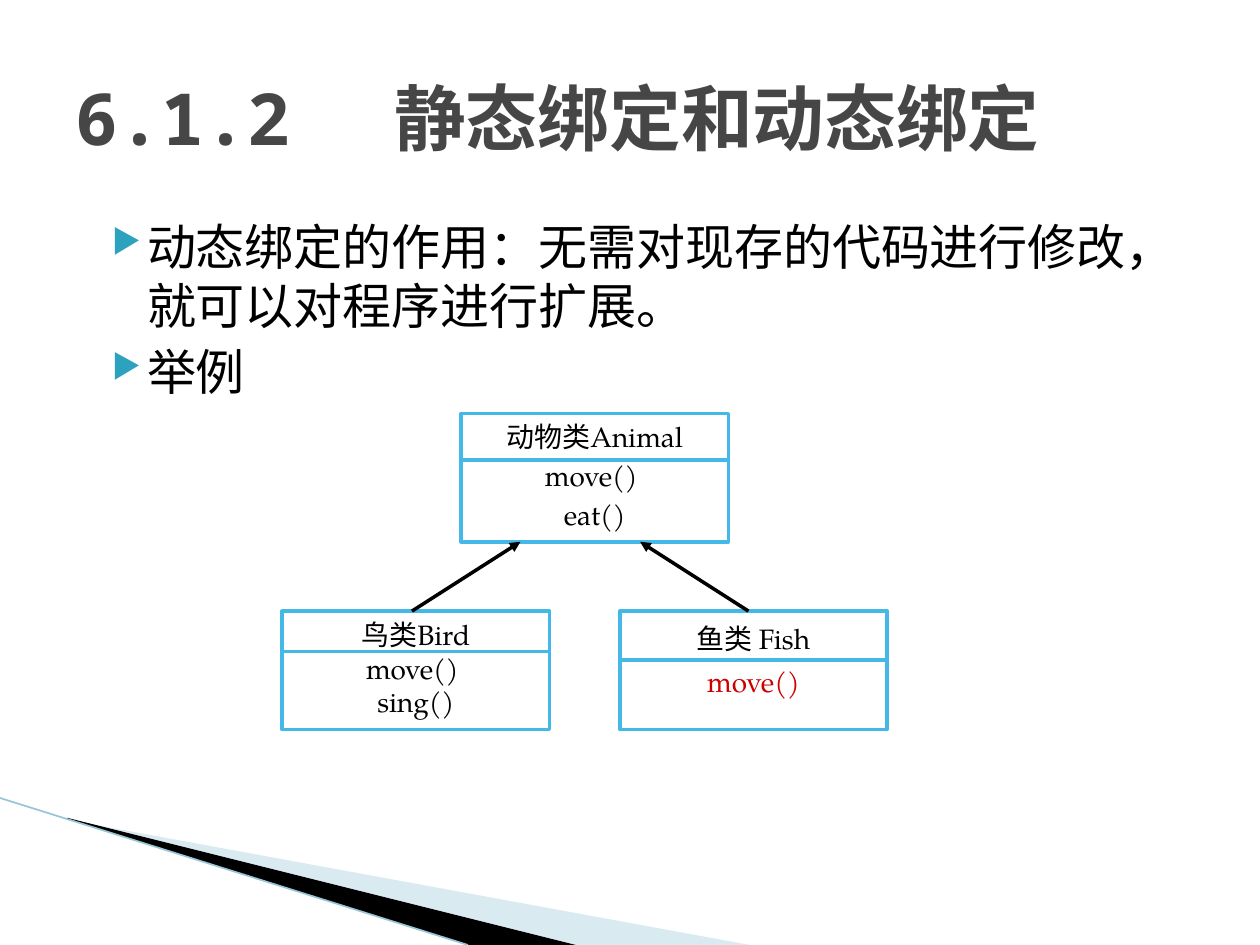
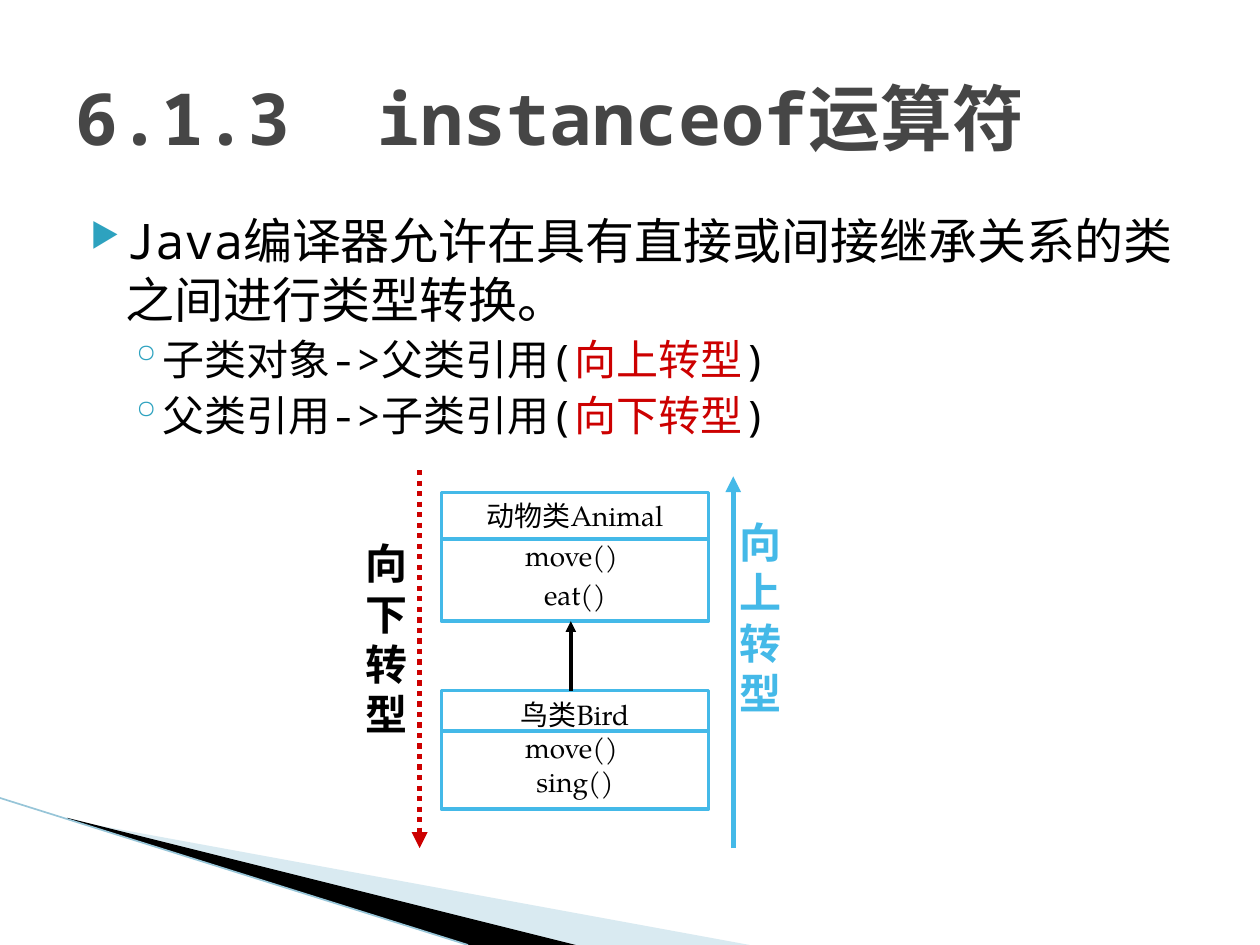
"""Build two slides on dynamic binding and the instanceof operator."""
from dataclasses import dataclass

from lxml.etree import SubElement
from pptx import Presentation
from pptx.dml.color import RGBColor
from pptx.enum.dml import MSO_LINE
from pptx.enum.shapes import MSO_CONNECTOR, MSO_SHAPE
from pptx.enum.text import MSO_ANCHOR, MSO_AUTO_SIZE, PP_ALIGN
from pptx.oxml.ns import qn
from pptx.util import Pt


@dataclass(frozen=True)
class Theme:
    title: str = "464646"
    text: str = "000000"
    accent: str = "CC0000"
    outline: str = "44B9E8"
    bullet: str = "2DA2BF"
    ribbon_light: str = "A0CBDC"
    ribbon_line: str = "97C5D8"
    mono: str = "Noto Sans Mono"
    serif: str = "TeX Gyre Pagella"
    sans: str = "Arial"
    title_size: float = 41
    body_size: float = 28
    detail_size: float = 24
    class_size: float = 16


theme = Theme()


def write_paragraphs(frame, paragraphs, font_name, bold=False):
    """Write (runs, size, format, bullet) paragraphs; a run is (text, colour)."""
    for index, (runs, size, format_values, bullet) in enumerate(paragraphs):
        paragraph = frame.paragraphs[0] if index == 0 else frame.add_paragraph()
        for name, value in format_values.items():
            setattr(paragraph, name, value)
        for text, color in runs:
            run = paragraph.add_run()
            run.text = text
            for name, value in {"name": font_name, "size": Pt(size), "bold": bold}.items():
                setattr(run.font, name, value)
            run.font.color.rgb = RGBColor.from_string(color)
        if bullet:
            character, percent, margin, indent = bullet
            properties = paragraph._p.get_or_add_pPr()
            properties.set("marL", str(Pt(margin)))
            properties.set("indent", str(Pt(indent)))
            bullet_color = SubElement(properties, qn("a:buClr"))
            SubElement(bullet_color, qn("a:srgbClr"), val=theme.bullet)
            SubElement(properties, qn("a:buSzPct"), val=str(percent * 1000))
            SubElement(properties, qn("a:buChar"), char=character)


def draw_line(shapes, points, color, width, arrow=False, dash=None):
    """Draw a straight line, with an optional arrowhead at its end."""
    connector = shapes.add_connector(MSO_CONNECTOR.STRAIGHT, *map(Pt, points))
    connector.line.color.rgb = RGBColor.from_string(color)
    connector.line.width = Pt(width)
    if dash:
        connector.line.dash_style = dash
    if arrow:
        SubElement(connector.line._get_or_add_ln(), qn("a:tailEnd"), type="triangle")
    SubElement(connector._element.spPr, qn("a:effectLst"))


ribbons = [
    (theme.ribbon_light, 40, [(39.6, 468.7), (428.4, 540), (328.3, 540), (39.6, 468)]),
    (theme.text, 100, [(38.2, 467.3), (329, 540), (267.8, 540), (38.9, 468)]),
]
main_bullet = ("▶", 68, 28.8, -20.16)
detail_bullet = ("◦", 100, 48.96, -18)
main_format = {"space_before": Pt(4)}
detail_format = {"space_before": Pt(3.2), "level": 1}
centered = {"alignment": PP_ALIGN.CENTER}
spaced = {**centered, "space_before": Pt(3.2)}

class_width = 152.8
class_kinds = {
    "Animal": {
        "height": 73.4, "divider": 26.6, "top": 3.6,
        "rows": [("动物类Animal", theme.text, spaced),
                 ("move() ", theme.text, spaced),
                 ("eat()", theme.text, spaced)],
    },
    "Bird": {
        "height": 67.7, "divider": 23, "top": 0,
        "rows": [("鸟类Bird", theme.text, {**spaced, "line_spacing": 1.2}),
                 ("move() ", theme.text, centered),
                 ("sing()", theme.text, centered)],
    },
    "Fish": {
        "height": 67.7, "divider": 28, "top": 0,
        "rows": [("鱼类 Fish", theme.text, {**spaced, "line_spacing": 1.3}),
                 ("move()", theme.accent, {**centered, "line_spacing": 1.3})],
    },
}

slides = [
    {
        "title": "6.1.2\t静态绑定和动态绑定",
        "title_tab": 182,
        "body_box": (48.2, 120.2, 640.8, 155.5),
        "body": [
            ([("动态绑定的作用：无需对现存的代码进行修改，就可以对程序进行扩展。", theme.text)],
             theme.body_size, main_format, main_bullet),
            ([("举例", theme.text)], theme.body_size, main_format, main_bullet),
        ],
        "classes": [("Animal", 263.5, 236.2), ("Bird", 161.3, 349.2), ("Fish", 354.2, 349.2)],
        "inheritance": [(235.4, 349.2, 297.4, 309.6), (427.7, 349.2, 365.8, 309.6)],
        "casts": [],
    },
    {
        "title": "6.1.3\tinstanceof运算符",
        "title_tab": 172.6,
        "body_box": (36, 116.6, 648, 141.8),
        "body": [
            ([("Java编译器允许在具有直接或间接继承关系的类之间进行类型转换。", theme.text)],
             theme.body_size, main_format, main_bullet),
        ] + [
            ([(conversion + "(", theme.text), (cast, theme.accent), (")", theme.text)],
             theme.detail_size, detail_format, detail_bullet)
            for conversion, cast in [("子类对象->父类引用", "向上转型"),
                                     ("父类引用->子类引用", "向下转型")]
        ],
        "classes": [("Animal", 252.2, 281.5), ("Bird", 252.2, 394.6)],
        "inheritance": [(326.2, 394.6, 326.2, 355)],
        "casts": [
            ("向上转型", theme.outline, (415.4, 291.6), (419, 484.6, 419, 272.2),
             theme.outline, None),
            ("向下转型", theme.text, (201.6, 303.8), (239.8, 268.6, 239.8, 484.6),
             theme.accent, MSO_LINE.ROUND_DOT),
        ],
    },
]

presentation = Presentation()
presentation.slide_width = Pt(720)
presentation.slide_height = Pt(540)

for content in slides:
    slide = presentation.slides.add_slide(presentation.slide_layouts[5])
    slide.background.fill.solid()
    slide.background.fill.fore_color.rgb = RGBColor.from_string("FFFFFF")

    for color, opacity, points in ribbons:
        corners = [(Pt(x), Pt(y)) for x, y in points]
        builder = slide.shapes.build_freeform(*corners[0], scale=1.0)
        builder.add_line_segments(corners[1:], close=True)
        ribbon = builder.convert_to_shape()
        ribbon.shadow.inherit = False
        ribbon.line.fill.background()
        ribbon.fill.solid()
        ribbon.fill.fore_color.rgb = RGBColor.from_string(color)
        if opacity < 100:
            fill_color = ribbon._element.spPr.find(".//" + qn("a:srgbClr"))
            SubElement(fill_color, qn("a:alpha"), val=str(opacity * 1000))
    draw_line(slide.shapes, (0, 456, 267.5, 540), theme.ribbon_line, 0.95)

    title = slide.shapes.title
    for name, value in {"left": 36, "top": 21.6, "width": 648, "height": 90}.items():
        setattr(title, name, Pt(value))
    frame_values = {"vertical_anchor": MSO_ANCHOR.MIDDLE, "word_wrap": True,
                    "auto_size": MSO_AUTO_SIZE.NONE}
    for name, value in frame_values.items():
        setattr(title.text_frame, name, value)
    write_paragraphs(
        title.text_frame,
        [([(content["title"], theme.title)], theme.title_size,
          {"alignment": PP_ALIGN.LEFT}, None)],
        theme.mono, bold=True)
    title_properties = title.text_frame.paragraphs[0]._p.get_or_add_pPr()
    tab_list = SubElement(title_properties, qn("a:tabLst"))
    SubElement(tab_list, qn("a:tab"), pos=str(Pt(content["title_tab"])), algn="l")

    body = slide.shapes.add_textbox(*map(Pt, content["body_box"]))
    body.text_frame.word_wrap = True
    write_paragraphs(body.text_frame, content["body"], theme.mono)

    for kind_name, left, top in content["classes"]:
        kind = class_kinds[kind_name]
        group = slide.shapes.add_group_shape()
        box = group.shapes.add_shape(
            MSO_SHAPE.RECTANGLE, Pt(left), Pt(top), Pt(class_width), Pt(kind["height"]))
        box.shadow.inherit = False
        box.fill.background()
        box.line.color.rgb = RGBColor.from_string(theme.outline)
        box.line.width = Pt(2)
        frame_values = {"word_wrap": False, "vertical_anchor": MSO_ANCHOR.TOP,
                        "margin_top": Pt(kind["top"])}
        for name, value in frame_values.items():
            setattr(box.text_frame, name, value)
        rows = [([(text, color)], theme.class_size, format_values, None)
                for text, color, format_values in kind["rows"]]
        write_paragraphs(box.text_frame, rows, theme.serif)
        divider = top + kind["divider"]
        draw_line(group.shapes, (left, divider, left + class_width, divider), theme.outline, 2)

    for points in content["inheritance"]:
        draw_line(slide.shapes, points, theme.text, 2, arrow=True)

    for text, text_color, position, points, line_color, dash in content["casts"]:
        group = slide.shapes.add_group_shape()
        draw_line(group.shapes, points, line_color, 3, arrow=True, dash=dash)
        label = group.shapes.add_textbox(*map(Pt, (*position, 29.5, 122.4)))
        label.text_frame.word_wrap = True
        label.text_frame.auto_size = MSO_AUTO_SIZE.SHAPE_TO_FIT_TEXT
        write_paragraphs(
            label.text_frame,
            [([(text, text_color)], theme.detail_size, {"space_before": Pt(12)}, None)],
            theme.sans, bold=True)

presentation.save("out.pptx")
